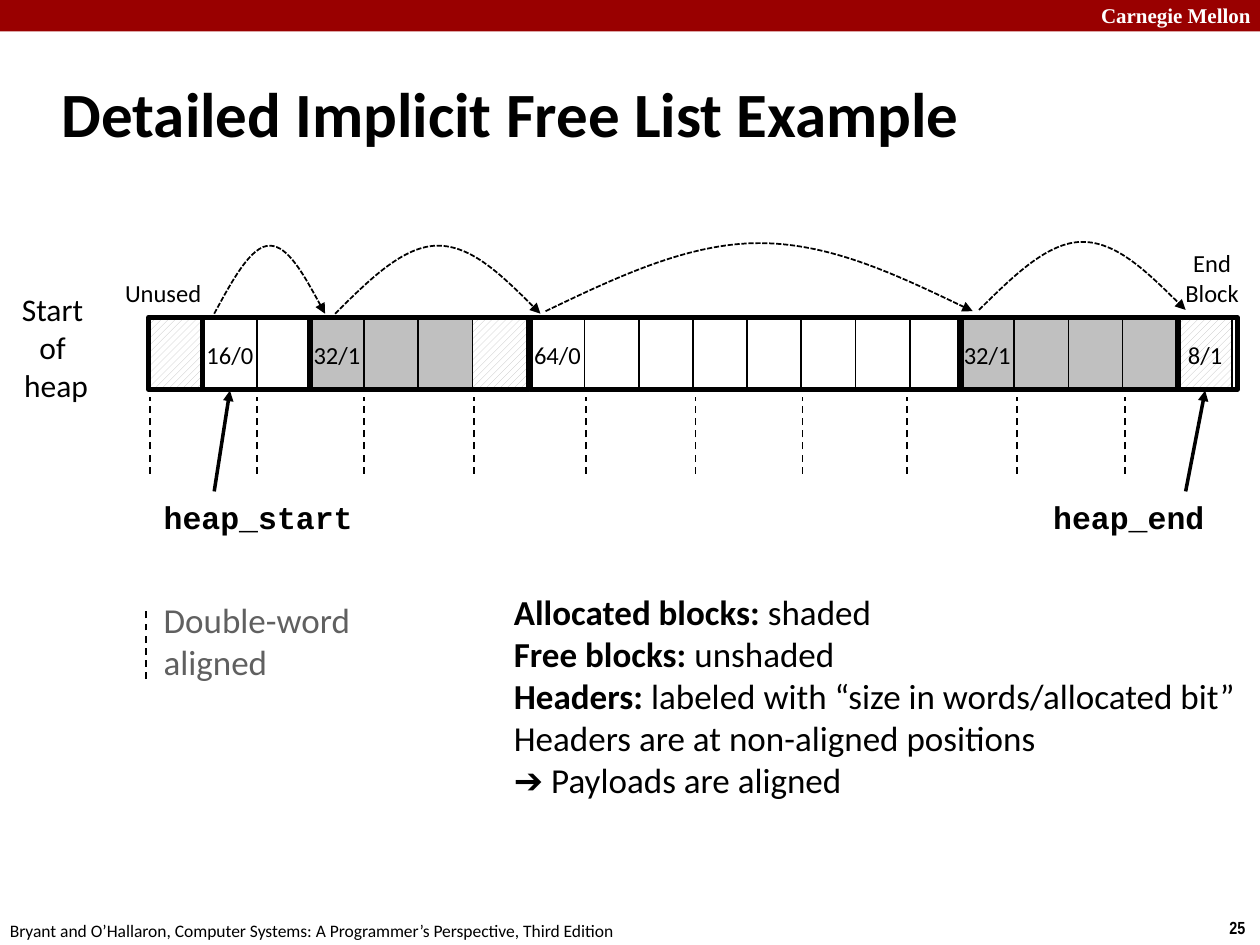
from lxml import etree
from pptx import Presentation, util as u
from pptx.dml.color import RGBColor
from pptx.enum import dml, shapes, text
from pptx.oxml.ns import qn

COLORS = {"band": "990000", "black": "000000", "white": "FFFFFF",
          "shaded": "C0C0C0", "muted": "606060"}
CELL_WIDTH, CELL_HEIGHT = 0.43, 0.57
FREE, ALLOCATED, HATCHED = "free", "allocated", "hatched"
BLOCKS = [
    (0, 0.43, "", [HATCHED]),
    (0.43, 0.85, "16/0", [FREE] * 2),
    (1.28, 1.74, "32/1", [ALLOCATED] * 3 + [HATCHED]),
    (3.03, 3.42, "64/0", [FREE] * 8),
    (6.44, 1.73, "32/1", [ALLOCATED] * 4),
    (8.17, 0.47, "8/1", [HATCHED]),
]
JUMPS = [(0.52, 1.4, -0.04), (1.48, 3.11, -0.04),
         (3.15, 6.54, -0.06), (6.59, 8.23, -0.07)]
GUIDES = [0.01, 0.86, 1.71, 2.58, 3.47, 4.34, 5.19, 6.02, 6.89, 7.75]
DASHED = dml.MSO_LINE.DASH
CENTER = text.PP_ALIGN.CENTER
MIDDLE = text.MSO_ANCHOR.MIDDLE


def color(name):
    """Return the named colour."""
    return RGBColor.from_string(COLORS[name])


def inches(*lengths):
    """Convert lengths in inches."""
    return [u.Inches(length) for length in lengths]


def format_font(font, size, name="Calibri", bold=False, tone="black"):
    """Set the look of a font."""
    font.size, font.name, font.bold = u.Pt(size), name, bold
    font.color.rgb = color(tone)


def format_line(line, width, dash=None, arrow=False):
    """Set a black line, with an optional dash and arrowhead."""
    line.color.rgb = color("black")
    line.width = u.Pt(width)
    if dash:
        line.dash_style = dash
    if arrow:
        etree.SubElement(line._get_or_add_ln(), qn("a:tailEnd"), type="triangle")


def add_label(slide, box, lines, size, align=None, anchor=text.MSO_ANCHOR.TOP,
              wrap=False, **look):
    """Add a text box; a line is a string or a (bold, plain) pair."""
    frame = slide.shapes.add_textbox(*inches(*box)).text_frame
    frame.word_wrap = wrap
    frame.auto_size = text.MSO_AUTO_SIZE.SHAPE_TO_FIT_TEXT
    frame.vertical_anchor = anchor
    for index, line in enumerate(lines):
        paragraph = frame.add_paragraph() if index else frame.paragraphs[0]
        paragraph.alignment = align
        parts = [line] if isinstance(line, str) else line
        for position, part in enumerate(parts):
            run = paragraph.add_run()
            run.text = part
            format_font(run.font, size, **look)
            if len(parts) > 1:
                run.font.bold = position == 0


def add_rectangle(slide, box, fill=None):
    """Add a plain rectangle without fill unless one is named."""
    shape = slide.shapes.add_shape(shapes.MSO_SHAPE.RECTANGLE, *inches(*box))
    shape.shadow.inherit = False
    if fill is None:
        shape.fill.background()
    elif fill == HATCHED:
        shape.fill.patterned()
        shape.fill.pattern = dml.MSO_PATTERN.WIDE_UPWARD_DIAGONAL
        shape.fill.fore_color.rgb = color("shaded")
        shape.fill.back_color.rgb = color("white")
    else:
        shape.fill.solid()
        shape.fill.fore_color.rgb = color(fill)
    return shape


def add_line(slide, start, end, width, dash=None, arrow=False):
    """Add a straight line between two points."""
    line = slide.shapes.add_connector(
        shapes.MSO_CONNECTOR.STRAIGHT, *inches(*start, *end))
    format_line(line.line, width, dash, arrow)
    etree.SubElement(line._element.spPr, qn("a:effectLst"))
    return line


def add_jump(slide, start, end, bottom, height=0.54):
    """Add a dashed arched arrow from one header to the next."""
    rises = [(1, 0.5), (2, 1), (3, 1), (4, 1), (5, 0.5), (6, 0)]
    points = [inches(start + (end - start) * step / 6, bottom - height * rise)
              for step, rise in rises]
    builder = slide.shapes.build_freeform(*inches(start, bottom))
    builder.add_line_segments(points, close=False)
    arch = builder.convert_to_shape()
    segments = list(arch._element.iter(qn("a:lnTo")))
    outline = segments[0].getparent()
    for first in range(0, len(segments), 3):
        curve = etree.SubElement(outline, qn("a:cubicBezTo"))
        for segment in segments[first:first + 3]:
            curve.append(segment[0])
            outline.remove(segment)
    arch.shadow.inherit = False
    arch.fill.background()
    format_line(arch.line, 1, dml.MSO_LINE.SQUARE_DOT, arrow=True)


def add_block(slide, left, top, label, cells):
    """Add the word cells of one block and return its header cell."""
    fills = {FREE: "white", ALLOCATED: "shaded", HATCHED: HATCHED}
    header = None
    for index, kind in enumerate(cells):
        box = (left + index * CELL_WIDTH, top, CELL_WIDTH, CELL_HEIGHT)
        cell = add_rectangle(slide, box, fills[kind])
        format_line(cell.line, 1)
        header = header or cell
    if label:
        frame = header.text_frame
        frame.text = label
        frame.word_wrap = False
        frame.vertical_anchor = MIDDLE
        frame.paragraphs[0].alignment = CENTER
        format_font(frame.paragraphs[0].runs[0].font, 14)
    return header


def add_heap(slide, left, top):
    """Add the heap with its blocks, jumps, guides and pointers."""
    headers = [add_block(slide, left + offset, top, label, cells)
               for offset, _, label, cells in BLOCKS]
    for offset, width, _, _ in BLOCKS:
        outline = add_rectangle(
            slide, (left + offset, top - 0.01, width, CELL_HEIGHT))
        format_line(outline.line, 3)
    for start, end, bottom in JUMPS:
        add_jump(slide, left + start, left + end, top + bottom)
    for offset in GUIDES:
        add_line(slide, (left + offset, top + 1.23), (left + offset, top + 0.62),
                 1, DASHED)
    for name, header, start, label_left, width in [
            ("heap_start", headers[1], 0.52, 0.02, 1.71),
            ("heap_end", headers[-1], 8.23, 7.08, 1.41)]:
        origin = (left + start, top + 1.37)
        pointer = add_line(slide, origin, origin, 2, arrow=True)
        pointer.end_connect(header, 2)
        add_label(slide, (left + label_left, top + 1.37, width, 0.4), [name], 18,
                  name="Courier New", bold=True)
    for box, lines, size in [
            ((-1.11, -0.28, 0.75, 1.01), ["Start ", "of ", "heap"], 18),
            ((-0.29, -0.38, 0.81, 0.34), ["Unused"], 14),
            ((8.12, -0.61, 0.64, 0.57), ["End", "Block"], 14)]:
        add_label(slide, (left + box[0], top + box[1], *box[2:]), lines, size,
                  CENTER, MIDDLE)


def add_legend(slide, left, top):
    """Add the alignment key and the notes on blocks."""
    add_line(slide, (left, top + 0.75), (left, top + 0.2), 1, DASHED)
    add_label(slide, (left + 0.04, top + 0.06, 2.04, 0.77),
              ["Double-word", "aligned"], 20, anchor=MIDDLE, wrap=True, tone="muted")
    add_label(slide, (left + 2.82, top, 5.98, 1.78), [
        ("Allocated blocks: ", "shaded"),
        ("Free blocks: ", "unshaded"),
        ("Headers: ", "labeled with “size in words/allocated bit”"),
        "Headers are at non-aligned positions",
        "➔ Payloads are aligned"], 20)


def add_title(slide, box):
    """Place and format the title."""
    title = slide.shapes.title
    title.left, title.top, title.width, title.height = inches(*box)
    title.text_frame.text = "Detailed Implicit Free List Example"
    title.text_frame.vertical_anchor = MIDDLE
    paragraph = title.text_frame.paragraphs[0]
    paragraph.alignment = text.PP_ALIGN.LEFT
    format_font(paragraph.runs[0].font, 36, bold=True)


def add_page_frame(slide, width, height):
    """Add the top band, the footer and the page number."""
    band = add_rectangle(slide, (0, 0, width, 0.25), "band")
    band.line.fill.background()
    add_label(slide, (width - 1.36, -0.03, 1.43, 0.3), ["Carnegie Mellon"], 12,
              wrap=True, name="Times New Roman", bold=True, tone="white")
    add_label(slide, (width - 0.34, height - 0.27, 0.34, 0.27), ["25"], 10,
              name="Arial Narrow", bold=True)
    add_label(slide, (-0.02, height - 0.25, 5.08, 0.27), [
        "Bryant and O’Hallaron, Computer Systems: "
        "A Programmer’s Perspective, Third Edition"], 10)


def main():
    """Build and save the slide."""
    presentation = Presentation()
    presentation.slide_width, presentation.slide_height = inches(10, 7.5)
    slide = presentation.slides.add_slide(presentation.slide_layouts[5])
    add_page_frame(slide, 10, 7.5)
    add_title(slide, (0.39, 0.48, 8.3, 0.83))
    add_heap(slide, 1.18, 2.53)
    add_legend(slide, 1.16, 4.64)
    presentation.save("out.pptx")


if __name__ == "__main__":
    main()
